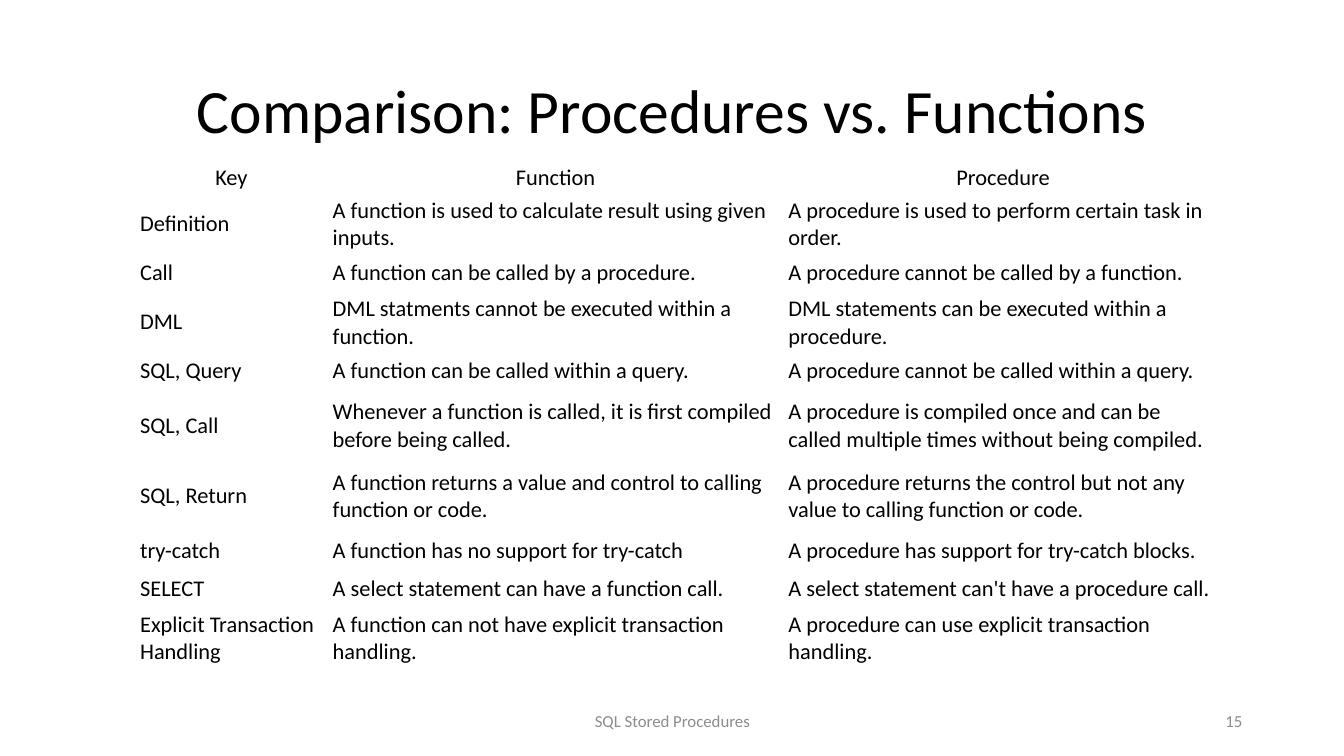
from pptx import Presentation
from pptx.dml.color import RGBColor
from pptx.enum.text import MSO_ANCHOR, MSO_AUTO_SIZE, PP_ALIGN
from pptx.util import Emu, Pt

PX = 9144
FONT = "Calibri"
COLORS = {"text": "000000", "footer": "8C8C8C"}
LEFT, CENTER, RIGHT = PP_ALIGN.LEFT, PP_ALIGN.CENTER, PP_ALIGN.RIGHT
MIDDLE = MSO_ANCHOR.MIDDLE
NO_AUTOFIT = MSO_AUTO_SIZE.NONE

COLUMN_WIDTHS = [191, 452, 436]
ROW_HEIGHTS = [22, 54, 38, 54, 38, 70, 70, 38, 38, 54]
COMPARISON = [
    ("Key", "Function", "Procedure"),
    ("Definition",
     "A function is used to calculate result using given inputs.",
     "A procedure is used to perform certain task in order."),
    ("Call",
     "A function can be called by a procedure.",
     "A procedure cannot be called by a function."),
    ("DML",
     "DML statments cannot be executed within a function.",
     "DML statements can be executed within a procedure."),
    ("SQL, Query",
     "A function can be called within a query.",
     "A procedure cannot be called within a query."),
    ("SQL, Call",
     "Whenever a function is called, it is first compiled before being called.",
     "A procedure is compiled once and can be called multiple times without being compiled."),
    ("SQL, Return",
     "A function returns a value and control to calling function or code.",
     "A procedure returns the control but not any value to calling function or code."),
    ("try-catch",
     "A function has no support for try-catch",
     "A procedure has support for try-catch blocks."),
    ("SELECT",
     "A select statement can have a function call.",
     "A select statement can't have a procedure call."),
    ("Explicit Transaction Handling",
     "A function can not have explicit transaction handling.",
     "A procedure can use explicit transaction handling."),
]


def px(*lengths):
    """Turn lengths in px into a list of EMU."""
    return [Emu(n * PX) for n in lengths]


def write(tf, text, size=16, color="text", align=LEFT, spacing=None):
    """Write one formatted paragraph into a text frame."""
    tf.word_wrap = True
    p = tf.paragraphs[0]
    p.alignment = align
    p.line_spacing = spacing
    r = p.add_run()
    r.text = text
    r.font.name = FONT
    r.font.size = Pt(size)
    r.font.color.rgb = RGBColor.from_string(COLORS[color])


def add_title(s, text, box):
    """Place and fill the title placeholder."""
    sp = s.shapes.title
    sp.left, sp.top, sp.width, sp.height = px(*box)
    tf = sp.text_frame
    tf.auto_size = NO_AUTOFIT
    tf.vertical_anchor = MIDDLE
    write(tf, text, size=44, align=CENTER, spacing=0.9)


def add_footer(s, text, box, align):
    """Add a grey text box at the foot of the slide."""
    tf = s.shapes.add_textbox(*px(*box)).text_frame
    tf.vertical_anchor = MIDDLE
    write(tf, text, size=12, color="footer", align=align)


def add_comparison(s, left, top):
    """Add the unfilled table with a centred header row."""
    size = sum(COLUMN_WIDTHS), sum(ROW_HEIGHTS)
    table = s.shapes.add_table(len(ROW_HEIGHTS), len(COLUMN_WIDTHS),
                               *px(left, top, *size)).table
    table.first_row = False
    table.horz_banding = False
    for column, width in zip(table.columns, px(*COLUMN_WIDTHS)):
        column.width = width
    for i, (row, height) in enumerate(zip(table.rows, px(*ROW_HEIGHTS))):
        row.height = height
        for cell, text in zip(row.cells, COMPARISON[i]):
            cell.fill.background()
            cell.vertical_anchor = MIDDLE
            cell.margin_left, cell.margin_right = px(5, 5)
            cell.margin_top, cell.margin_bottom = px(3, 3)
            write(cell.text_frame, text, align=LEFT if i else CENTER)


def main():
    """Build the slide and save it."""
    prs = Presentation()
    prs.slide_width, prs.slide_height = px(1333, 750)
    s = prs.slides.add_slide(prs.slide_layouts[5])
    add_title(s, "Comparison: Procedures vs. Functions", (92, 40, 1150, 145))
    add_footer(s, "SQL Stored Procedures", (442, 695, 450, 40), CENTER)
    add_footer(s, "15", (942, 695, 300, 40), RIGHT)
    add_comparison(s, 134, 160)
    prs.save("out.pptx")


if __name__ == "__main__":
    main()
